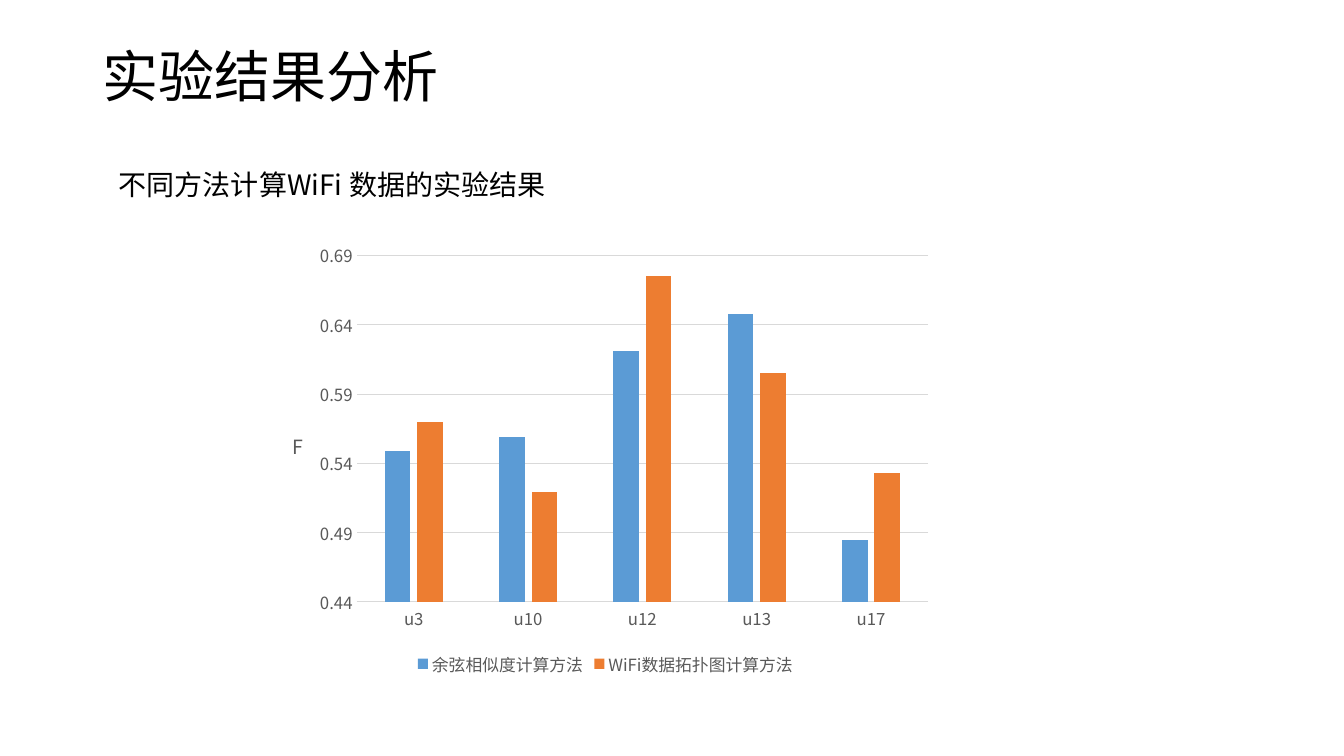
from lxml import etree
from pptx import Presentation
from pptx.chart.data import CategoryChartData
from pptx.dml.color import RGBColor
from pptx.enum.chart import XL_CHART_TYPE, XL_LEGEND_POSITION, XL_TICK_MARK
from pptx.enum.text import MSO_ANCHOR
from pptx.oxml.ns import qn
from pptx.util import Inches, Pt

COLUMNS = XL_CHART_TYPE.COLUMN_CLUSTERED
BOTTOM = XL_LEGEND_POSITION.BOTTOM
NO_TICK = XL_TICK_MARK.NONE
TOP, MIDDLE = MSO_ANCHOR.TOP, MSO_ANCHOR.MIDDLE

THEME = {
    "font": "Noto Sans CJK SC",
    "text": RGBColor.from_string("000000"),
    "label": RGBColor.from_string("595959"),
    "grid": RGBColor.from_string("D9D9D9"),
    "series": [RGBColor.from_string("5B9BD5"), RGBColor.from_string("ED7D31")],
    "title_size": Pt(40),
    "body_size": Pt(20),
    "axis_title_size": Pt(14),
    "label_size": Pt(12),
    "line": Pt(0.75),
}


def style_font(font, size, color):
    font.size = size
    font.bold = False
    font.name = THEME["font"]
    font.color.rgb = color
    ea = etree.Element(qn("a:ea"), typeface=THEME["font"])
    font._element.find(qn("a:latin")).addnext(ea)


def manual_layout(layout, **values):
    manual = etree.SubElement(layout, qn("c:manualLayout"))
    for tag, value in values.items():
        etree.SubElement(manual, qn(f"c:{tag}"), val=str(value))


prs = Presentation()
prs.slide_width = Inches(13.33)
prs.slide_height = Inches(7.5)
s = prs.slides.add_slide(prs.slide_layouts[6])

chart_data = CategoryChartData(number_format="General")
chart_data.categories = ["u3", "u10", "u12", "u13", "u17"]
chart_data.add_series("余弦相似度计算方法", [0.549, 0.559, 0.621, 0.648, 0.485])
chart_data.add_series("WiFi数据拓扑图计算方法", [0.57, 0.519, 0.675, 0.605, 0.533])
chart = s.shapes.add_chart(
    COLUMNS, Inches(2.67), Inches(2.31), Inches(6.67), Inches(4.44), chart_data
).chart
style_font(chart.font, THEME["label_size"], THEME["label"])
chart.has_title = False
chart.has_legend = True
chart.legend.position = BOTTOM
chart.legend.include_in_layout = False
style_font(chart.legend.font, THEME["label_size"], THEME["label"])

plot = chart.plots[0]
plot.vary_by_categories = False
plot.gap_width = 219
plot.overlap = -27
for series, color in zip(plot.series, THEME["series"]):
    series.format.fill.solid()
    series.format.fill.fore_color.rgb = color

cat_axis, val_axis = chart.category_axis, chart.value_axis
for axis in (cat_axis, val_axis):
    axis.major_tick_mark = NO_TICK
    axis.minor_tick_mark = NO_TICK
    style_font(axis.tick_labels.font, THEME["label_size"], THEME["label"])
val_axis.minimum_scale = 0.44
val_axis.maximum_scale = 0.7
val_axis.major_unit = 0.05
val_axis.has_major_gridlines = True
val_axis.format.line.fill.background()
for line in (cat_axis.format.line, val_axis.major_gridlines.format.line):
    line.color.rgb = THEME["grid"]
    line.width = THEME["line"]

tf = val_axis.axis_title.text_frame
tf._txBody.bodyPr.set("rot", "0")
tf._txBody.bodyPr.set("vert", "horz")
r = tf.paragraphs[0].add_run()
r.text = "F"
style_font(r.font, THEME["axis_title_size"], THEME["label"])

title_xml = val_axis.axis_title._element
title_layout = title_xml.find(qn("c:layout"))
if title_layout is None:
    title_layout = etree.Element(qn("c:layout"))
    title_xml.find(qn("c:tx")).addnext(title_layout)
manual_layout(title_layout, xMode="edge", yMode="edge", x=0.03, y=0.43)

plot_area = chart._chartSpace.chart.plotArea
plot_layout = plot_area.find(qn("c:layout"))
if plot_layout is None:
    plot_layout = etree.Element(qn("c:layout"))
    plot_area.insert(0, plot_layout)
manual_layout(plot_layout, layoutTarget="inner", xMode="edge", yMode="edge",
              x=0.13, y=0.02, w=0.85, h=0.805)

for text, top, left, height, size, anchor in [
    ("实验结果分析", 0.4, 0.92, 0.78, THEME["title_size"], MIDDLE),
    ("不同方法计算WiFi 数据的实验结果", 1.65, 1.08, 5.27, THEME["body_size"], TOP),
]:
    sp = s.shapes.add_textbox(Inches(left), Inches(top), Inches(11.5), Inches(height))
    tf = sp.text_frame
    tf.word_wrap = True
    tf.vertical_anchor = anchor
    p = tf.paragraphs[0]
    p.line_spacing = 0.9
    r = p.add_run()
    r.text = text
    style_font(r.font, size, THEME["text"])

prs.save("out.pptx")
